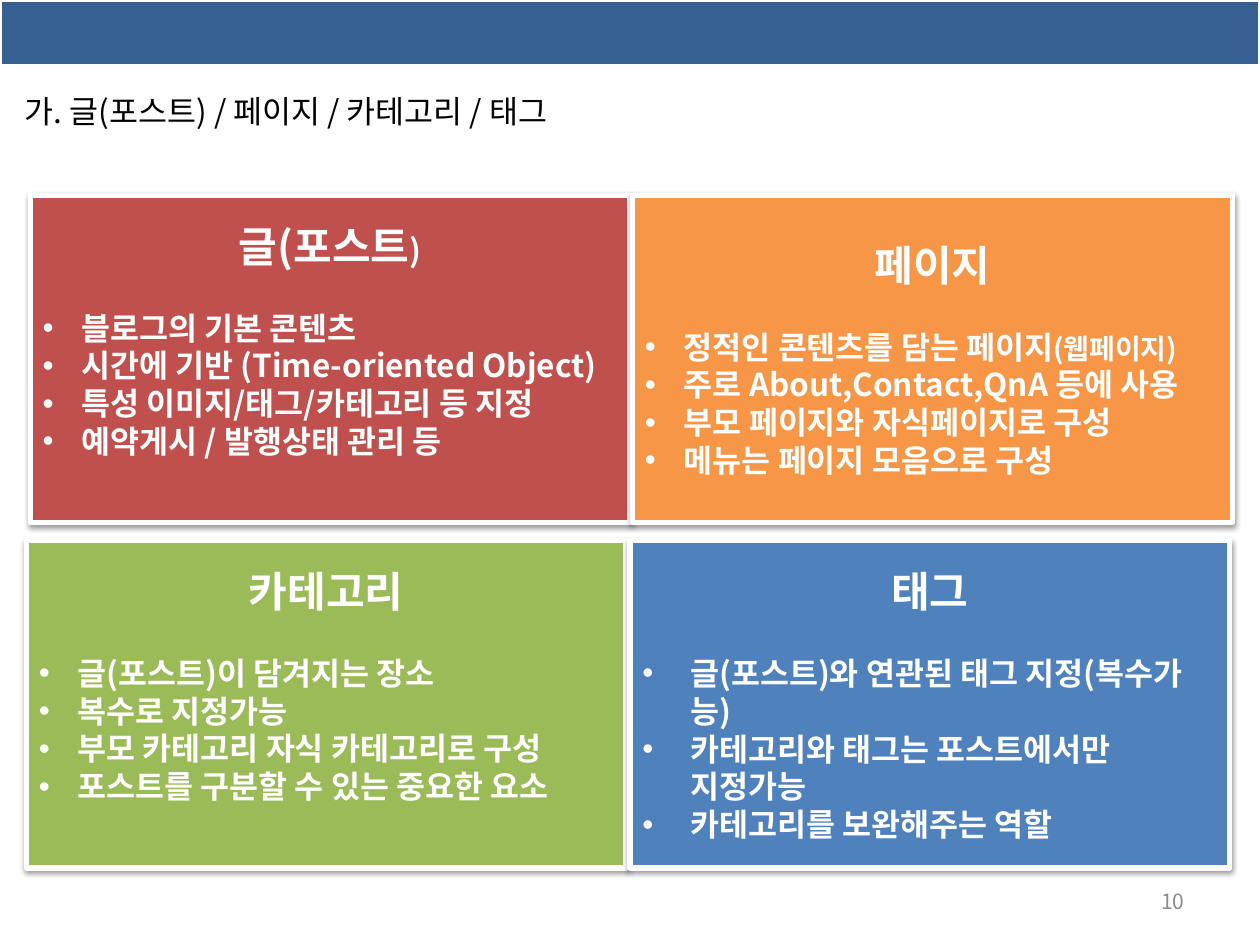
from dataclasses import dataclass

from pptx import Presentation
from pptx.dml.color import RGBColor
from pptx.enum.shapes import MSO_SHAPE
from pptx.enum.text import MSO_ANCHOR, PP_ALIGN
from pptx.oxml import parse_xml
from pptx.oxml.ns import nsdecls, qn
from pptx.util import Inches, Pt

RECTANGLE = MSO_SHAPE.RECTANGLE
TOP, MIDDLE = MSO_ANCHOR.TOP, MSO_ANCHOR.MIDDLE
LEFT, CENTER, RIGHT = PP_ALIGN.LEFT, PP_ALIGN.CENTER, PP_ALIGN.RIGHT

FONT = "Noto Sans CJK KR"
WHITE = "FFFFFF"
CARD_WIDTH, CARD_HEIGHT = 4.76, 2.6
BLANK_LINE = 21.7  # points, one line of 18 pt text
INSET = 0.05


@dataclass
class Span:
    text: str
    size: float | None = None


@dataclass
class Card:
    left: float
    top: float
    color: str
    heading: list[Span]
    bullets: list[list[Span]]
    indent: float = 0.31
    line_below: bool = False


CARDS = [
    Card(0.24, 1.55, "C0504D", [Span("글(포스트"), Span(")", 18)], [
        [Span("블로그의 기본 콘텐츠")],
        [Span("시간에 기반 (Time-oriented Object)")],
        [Span("특성 이미지/태그/카테고리 등 지정")],
        [Span("예약게시 / 발행상태 관리 등")],
    ], line_below=True),
    Card(0.21, 4.29, "9BBB59", [Span("카테고리")], [
        [Span("글(포스트)이 담겨지는 장소")],
        [Span("복수로 지정가능")],
        [Span("부모 카테고리 자식 카테고리로 구성")],
        [Span("포스트를 구분할 수 있는 중요한 요소")],
    ], line_below=True),
    Card(5.02, 1.55, "F79646", [Span("페이지")], [
        [Span("정적인 콘텐츠를 담는 페이지"), Span("(웹페이지)", 16)],
        [Span("주로 About,Contact,QnA 등에 사용")],
        [Span("부모 페이지와 자식페이지로 구성")],
        [Span("메뉴는 페이지 모음으로 구성")],
    ]),
    Card(5, 4.29, "4F81BD", [Span("태그")], [
        [Span("글(포스트)와 연관된 태그 지정(복수가능)")],
        [Span("카테고리와 태그는 포스트에서만 지정가능")],
        [Span("카테고리를 보완해주는 역할")],
    ], indent=0.38),
]


def rgb(color: str) -> RGBColor:
    return RGBColor.from_string(color)


def write(para, spans: list[Span], size: float, color: str,
          align=LEFT, bold: bool = False) -> None:
    para.alignment = align
    para.font.size = Pt(size)
    para.font.bold = bold
    para.font.color.rgb = rgb(color)
    para.font.name = FONT
    defaults = para._p.pPr.find(qn("a:defRPr"))
    defaults.append(parse_xml(f'<a:ea {nsdecls("a")} typeface="{FONT}"/>'))
    for span in spans:
        run = para.add_run()
        run.text = span.text
        if span.size:
            run.font.size = Pt(span.size)


def add_bullet(para, indent: float) -> None:
    """Give the paragraph a round bullet with a hanging indent."""
    properties = para._p.get_or_add_pPr()
    properties.set("marL", str(Inches(indent)))
    properties.set("indent", str(-Inches(indent)))
    properties.append(parse_xml(f'<a:buFont {nsdecls("a")} typeface="Arial"/>'))
    properties.append(parse_xml(f'<a:buChar {nsdecls("a")} char="•"/>'))


def add_box(page, left: float, top: float, width: float, height: float,
            color: str, line_width: float):
    box = page.shapes.add_shape(
        RECTANGLE, Inches(left), Inches(top), Inches(width), Inches(height))
    box.shadow.inherit = False
    box.fill.solid()
    box.fill.fore_color.rgb = rgb(color)
    box.line.color.rgb = rgb(WHITE)
    box.line.width = Pt(line_width)
    return box


def add_drop_shadow(box) -> None:
    effects = box._element.spPr.find(qn("a:effectLst"))
    effects.append(parse_xml(
        f'<a:outerShdw {nsdecls("a")} blurRad="{Pt(3.1)}" dist="{Pt(1.6)}" '
        'dir="5400000" rotWithShape="0"><a:srgbClr val="000000">'
        '<a:alpha val="38000"/></a:srgbClr></a:outerShdw>'))


def add_card(page, card: Card) -> None:
    box = add_box(page, card.left, card.top, CARD_WIDTH, CARD_HEIGHT, card.color, 3)
    add_drop_shadow(box)
    frame = box.text_frame
    frame.word_wrap = True
    frame.vertical_anchor = MIDDLE
    if card.line_below:
        frame.margin_bottom = Inches(INSET) + Pt(BLANK_LINE)
    heading = frame.paragraphs[0]
    heading.space_after = Pt(BLANK_LINE)
    write(heading, card.heading, 24, WHITE, CENTER, bold=True)
    for spans in card.bullets:
        para = frame.add_paragraph()
        add_bullet(para, card.indent)
        write(para, spans, 18, WHITE, bold=True)


def add_label(page, left: float, top: float, width: float, height: float,
              text: str, size: float, color: str, align=LEFT, anchor=TOP) -> None:
    box = page.shapes.add_textbox(
        Inches(left), Inches(top), Inches(width), Inches(height))
    box.text_frame.word_wrap = True
    box.text_frame.vertical_anchor = anchor
    write(box.text_frame.paragraphs[0], [Span(text)], size, color, align)


def main() -> None:
    deck = Presentation()
    deck.slide_width, deck.slide_height = Inches(10), Inches(7.5)
    page = deck.slides.add_slide(deck.slide_layouts[6])
    add_box(page, 0, 0, 10, 0.52, "376092", 2)
    add_label(page, 0.1, 0.68, 8.47, 0.4,
              "가. 글(포스트) / 페이지 / 카테고리 / 태그", 18, "000000")
    for card in CARDS:
        add_card(page, card)
    add_label(page, 7.17, 6.95, 2.33, 0.4, "10", 12, "8C8C8C", RIGHT, MIDDLE)
    deck.save("out.pptx")


if __name__ == "__main__":
    main()
